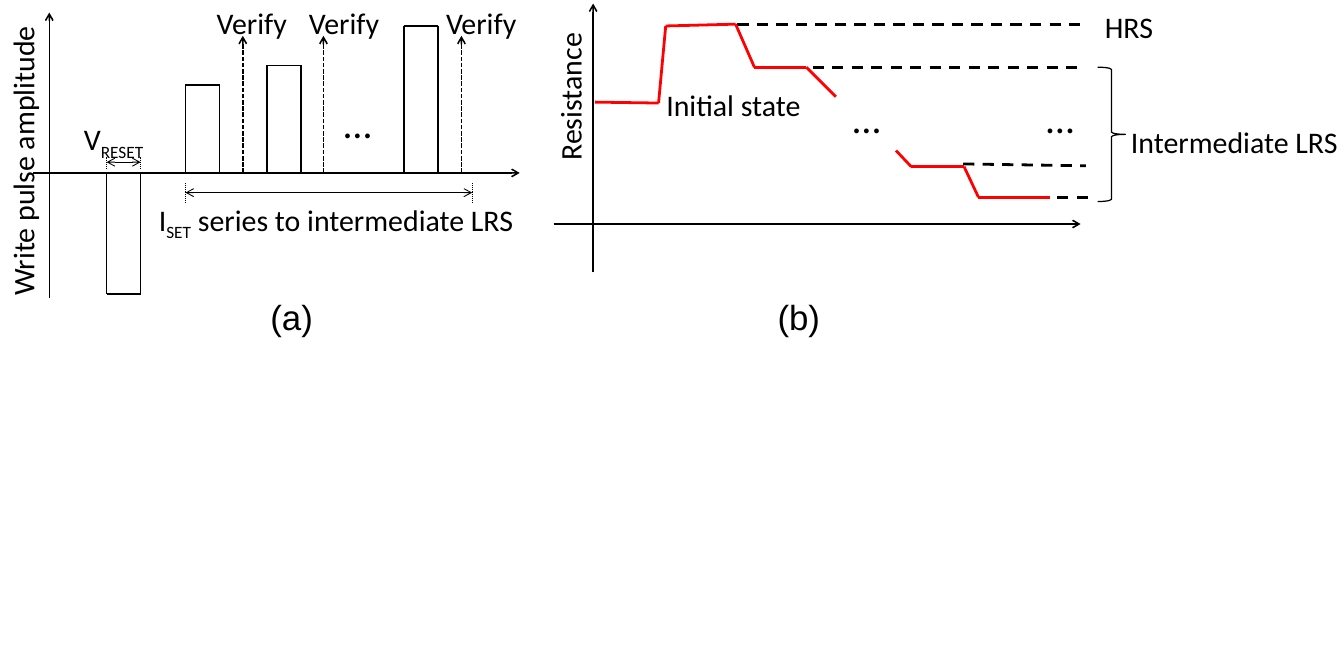
"""Build a slide with write pulses (a) and resistance levels (b)."""
from itertools import pairwise

from lxml.etree import SubElement
from pptx import Presentation
from pptx.dml.color import RGBColor
from pptx.enum.dml import MSO_LINE as Dash
from pptx.enum.shapes import MSO_CONNECTOR as Conn, MSO_SHAPE as Shape
from pptx.enum.text import MSO_AUTO_SIZE as Auto, PP_ALIGN as Align
from pptx.oxml.ns import qn
from pptx.util import Pt

PX = 9144
BLACK = RGBColor(0, 0, 0)
RED = RGBColor(255, 0, 0)

ZERO = 193
WIDE = 38
PULSES = [(119, 328), (207, 95), (298, 73), (451, 29)]
CHECKS = [(271, 232), (361, 335), (515, 488)]
AXES = [
    (37, ZERO, 580, ZERO),
    (55, 333, 55, 14),
    (662, 304, 662, 4),
    (618, 250, 1206, 250),
]
SPANS = [(119, 157, 175, 188, 181), (207, 527, 204, 226, 215)]
STEPS = [
    [(664, 114), (735, 115), (743, 29), (821, 27), (842, 75), (900, 75), (933, 108)],
    [(1000, 168), (1017, 186), (1076, 186), (1092, 220), (1172, 220)],
]
LEVELS = [
    (823, 27, 1210, 27),
    (907, 75, 1210, 75),
    (1180, 220, 1221, 220),
    (1075, 183, 1212, 185),
]
MID = {"align": Align.CENTER}
UP = {"turn": 270}
DOTS = {"size": 32}
NOTE = {"size": 28, "face": "Arial", "wrap": True}
LABELS = [
    ("Write pulse amplitude", (-137, 153, 324, 50), UP),
    ("Resistance", (554, 82, 164, 50), UP),
    (["V", "RESET "], (78, 130, 102, 50), MID),
    (["I", "SET", " series to intermediate LRS"], (163, 220, 424, 50), MID),
    ("HRS", (1223, 5, 74, 50), MID),
    ("Initial state", (733, 92, 171, 50), MID),
    ("Intermediate LRS", (1240, 133, 275, 50), {"wrap": True, **MID}),
    ("…", (374, 105, 46, 64), DOTS),
    ("…", (942, 100, 46, 64), DOTS),
    ("…", (1158, 100, 46, 64), DOTS),
    ("(a)", (292, 325, 150, 57), NOTE),
    ("(b)", (858, 325, 150, 57), NOTE),
]


def scale(box):
    return [n * PX for n in box]


def draw(ends, width=1.25, color=BLACK, dash=None, head=False, tail=False):
    link = shapes.add_connector(Conn.STRAIGHT, *scale(ends))
    link.line.width = Pt(width)
    link.line.color.rgb = color
    if dash:
        link.line.dash_style = dash
    for show, tag in ((head, "a:headEnd"), (tail, "a:tailEnd")):
        if show:
            SubElement(link.line._get_or_add_ln(), qn(tag), type="arrow")
    SubElement(link._element.spPr, qn("a:effectLst"))


def write(text, box, size=24, face="Calibri", align=Align.LEFT, turn=0, wrap=False):
    item = shapes.add_textbox(*scale(box))
    item.rotation = turn
    frame = item.text_frame
    frame.word_wrap = wrap
    frame.auto_size = Auto.SHAPE_TO_FIT_TEXT
    para = frame.paragraphs[0]
    para.alignment = align
    for i, part in enumerate([text] if isinstance(text, str) else text):
        run = para.add_run()
        run.text = part
        run.font.size = Pt(size)
        run.font.name = face
        run.font.color.rgb = BLACK
        if i == 1:
            run._r.get_or_add_rPr().set("baseline", "-25000")


deck = Presentation()
deck.slide_width, deck.slide_height = scale((1500, 750))
shapes = deck.slides.add_slide(deck.slide_layouts[6]).shapes

for axis in AXES:
    draw(axis, tail=True)
for left, peak in PULSES:
    right = left + WIDE
    draw((left, ZERO, left, peak))
    draw((right, ZERO, right, peak))
    draw((right, peak, left, peak))
for x, left in CHECKS:
    draw((x, ZERO, x, 40), dash=Dash.SQUARE_DOT, tail=True)
    write("Verify", (left, 0, 100, 50))
for left, right, top, base, y in SPANS:
    for x in (left, right):
        draw((x, base, x, top), width=0.75, dash=Dash.ROUND_DOT)
    draw((left, y, right, y), width=0.75, head=True, tail=True)
for level in LEVELS:
    draw(level, width=2.25, dash=Dash.DASH)
for step in STEPS:
    for start, end in pairwise(step):
        draw(start + end, width=2.25, color=RED)

brace = shapes.add_shape(Shape.RIGHT_BRACE, *scale((1225, 75, 31, 150)))
brace.shadow.inherit = False
brace.fill.background()
brace.line.color.rgb = BLACK
brace.line.width = Pt(1)

for text, box, form in LABELS:
    write(text, box, **form)

deck.save("out.pptx")
